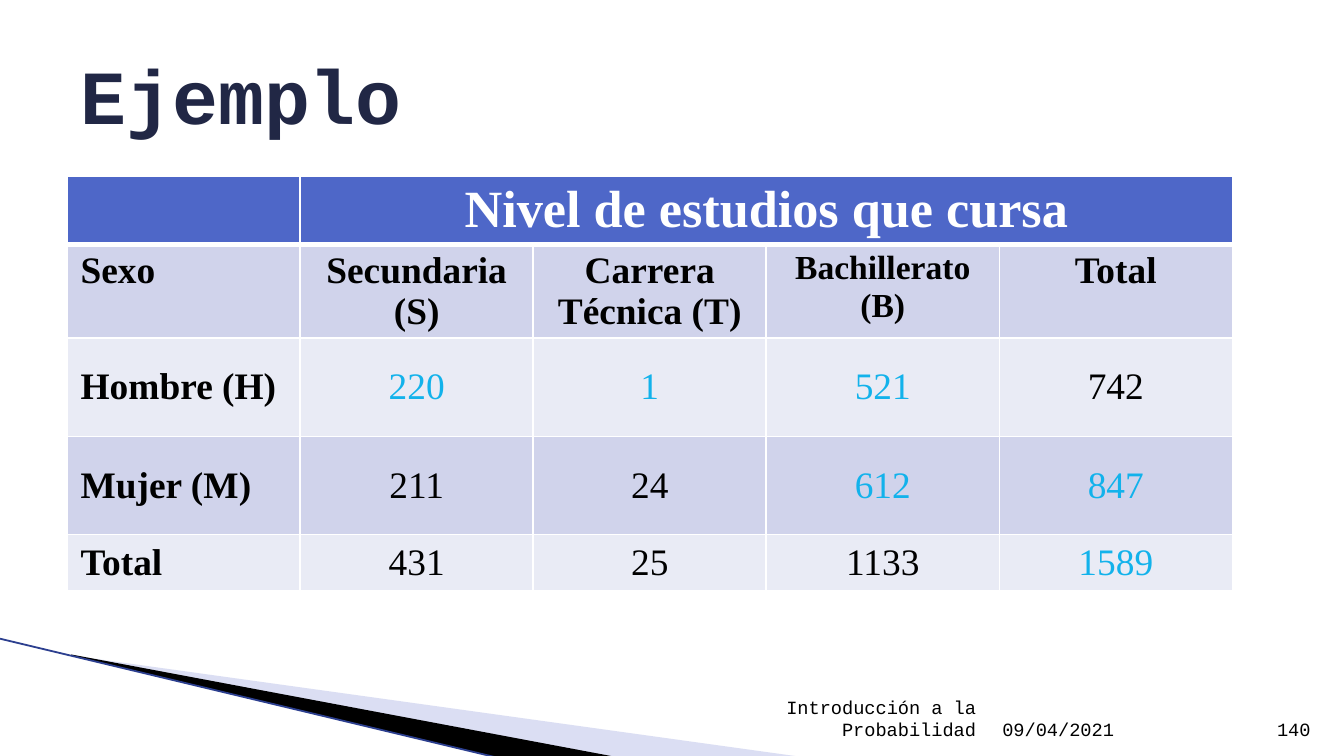
from dataclasses import dataclass

from lxml import etree
from pptx import Presentation
from pptx.dml.color import RGBColor
from pptx.enum.shapes import MSO_CONNECTOR
from pptx.enum.text import MSO_ANCHOR, PP_ALIGN
from pptx.oxml.ns import qn
from pptx.util import Inches, Pt

LEFT, CENTER, RIGHT = PP_ALIGN.LEFT, PP_ALIGN.CENTER, PP_ALIGN.RIGHT
TOP, MIDDLE, BOTTOM = MSO_ANCHOR.TOP, MSO_ANCHOR.MIDDLE, MSO_ANCHOR.BOTTOM
STRAIGHT = MSO_CONNECTOR.STRAIGHT

SLIDE_WIDTH = 10
SLIDE_HEIGHT = SLIDE_WIDTH * 9 / 16
MONO, SERIF = "Courier New", "Times New Roman"
BLACK, WHITE, CYAN = "000000", "FFFFFF", "12B2EB"
HEADER, BAND_DARK, BAND_LIGHT = "4E67C8", "D0D3EB", "E9EBF5"

TABLE_WIDTH = 8.67
ROW_HEIGHTS = [0.42, 0.68, 0.73, 0.73, 0.42]
ROWS = [
    ["", "Nivel de estudios que cursa", "", "", ""],
    ["Sexo", "Secundaria (S)", "Carrera Técnica (T)", "Bachillerato (B)", "Total"],
    ["Hombre (H)", "220", "1", "521", "742"],
    ["Mujer (M)", "211", "24", "612", "847"],
    ["Total", "431", "25", "1133", "1589"],
]
HIGHLIGHTED = {"220", "1", "521", "612", "847", "1589"}


@dataclass
class Label:
    text: str
    box: tuple[float, float, float, float]
    size: float = 10
    color: str = BLACK
    bold: bool = False
    align: PP_ALIGN = LEFT
    anchor: MSO_ANCHOR = BOTTOM


@dataclass
class Wedge:
    points: list[tuple[float, float]]
    color: str
    alpha: int = 100


WEDGES = [
    Wedge([(0.55, 4.88), (5.95, 5.63), (4.56, 5.63)], "A6AEE1", 40),
    Wedge([(0.53, 4.87), (4.57, 5.63), (3.72, 5.64), (0.54, 4.88)], BLACK),
]
LABELS = [
    Label("09/04/2021", (7.36, 5.26, 2.1, 0.3)),
    Label("140", (9.25, 5.26, 0.6, 0.3), align=RIGHT),
    Label("Ejemplo", (0.5, 0.23, 9, 0.94), 41, "212745", True, anchor=MIDDLE),
    Label("Introducción a la Probabilidad", (4.79, 5.26, 2.57, 0.3), align=RIGHT),
]


def rgb(color: str) -> RGBColor:
    return RGBColor.from_string(color)


def add_run(p, text: str, font: str, size: float, color: str, bold: bool) -> None:
    r = p.add_run()
    r.text = text
    r.font.name = font
    r.font.size = Pt(size)
    r.font.bold = bold
    r.font.color.rgb = rgb(color)


def add_label(slide, label: Label) -> None:
    tf = slide.shapes.add_textbox(*map(Inches, label.box)).text_frame
    tf.word_wrap = True
    tf.vertical_anchor = label.anchor
    p = tf.paragraphs[0]
    p.alignment = label.align
    add_run(p, label.text, MONO, label.size, label.color, label.bold)


def add_wedge(slide, wedge: Wedge) -> None:
    points = [(Inches(x), Inches(y)) for x, y in wedge.points]
    builder = slide.shapes.build_freeform(*points[0])
    builder.add_line_segments(points[1:], close=True)
    sp = builder.convert_to_shape()
    sp.shadow.inherit = False
    sp.line.fill.background()
    sp.fill.solid()
    sp.fill.fore_color.rgb = rgb(wedge.color)
    if wedge.alpha < 100:
        clr = sp._element.spPr.find(qn("a:solidFill"))[0]
        etree.SubElement(clr, qn("a:alpha"), val=str(wedge.alpha * 1000))


def set_borders(cell, top: float, bottom: float) -> None:
    tc_pr = cell._tc.get_or_add_tcPr()
    for side, width in (("L", 1), ("R", 1), ("T", top), ("B", bottom)):
        ln = etree.SubElement(tc_pr, qn(f"a:ln{side}"), w=str(Pt(width)))
        fill = etree.SubElement(ln, qn("a:solidFill"))
        etree.SubElement(fill, qn("a:srgbClr"), val=WHITE)


def style_cell(cell, row: int, col: int, text: str) -> None:
    set_borders(cell, 3 if row == 1 else 1, 3 if row == 0 else 1)
    cell.fill.solid()
    band = BAND_DARK if row % 2 else BAND_LIGHT
    cell.fill.fore_color.rgb = rgb(band if row else HEADER)
    cell.margin_left = cell.margin_right = Inches(0.1)
    cell.margin_top = cell.margin_bottom = Inches(0.04)
    cell.vertical_anchor = MIDDLE if row > 1 else TOP
    if not text:
        return
    p = cell.text_frame.paragraphs[0]
    p.alignment = CENTER if col else LEFT
    if row == 0:
        size, color = 28, WHITE
    else:
        size = 18 if text.startswith("Bachillerato") else 20
        color = CYAN if text in HIGHLIGHTED else BLACK
    add_run(p, text, SERIF, size, color, row < 2 or col == 0)


def add_study_table(slide) -> None:
    frame = slide.shapes.add_table(
        len(ROWS), len(ROWS[0]), Inches(0.5), Inches(1.31),
        Inches(TABLE_WIDTH), Inches(sum(ROW_HEIGHTS)))
    table = frame.table
    for column in table.columns:
        column.width = Inches(TABLE_WIDTH / len(ROWS[0]))
    for row, height in zip(table.rows, ROW_HEIGHTS):
        row.height = Inches(height)
    for i, texts in enumerate(ROWS):
        for j, text in enumerate(texts):
            style_cell(table.cell(i, j), i, j, text)
    table.cell(0, 1).merge(table.cell(0, 4))


def main() -> None:
    prs = Presentation()
    prs.slide_width, prs.slide_height = Inches(SLIDE_WIDTH), Inches(SLIDE_HEIGHT)
    slide = prs.slides.add_slide(prs.slide_layouts[6])

    # Corner decoration
    for wedge in WEDGES:
        add_wedge(slide, wedge)
    edge = slide.shapes.add_connector(
        STRAIGHT, Inches(-0.01), Inches(4.75), Inches(3.71), Inches(5.64))
    edge.line.color.rgb = rgb("2C3F8F")
    edge.line.width = Pt(0.95)
    etree.SubElement(edge._element.spPr, qn("a:effectLst"))

    # Table of studies by sex
    add_study_table(slide)

    # Title and footer
    for label in LABELS:
        add_label(slide, label)

    prs.save("out.pptx")


if __name__ == "__main__":
    main()
